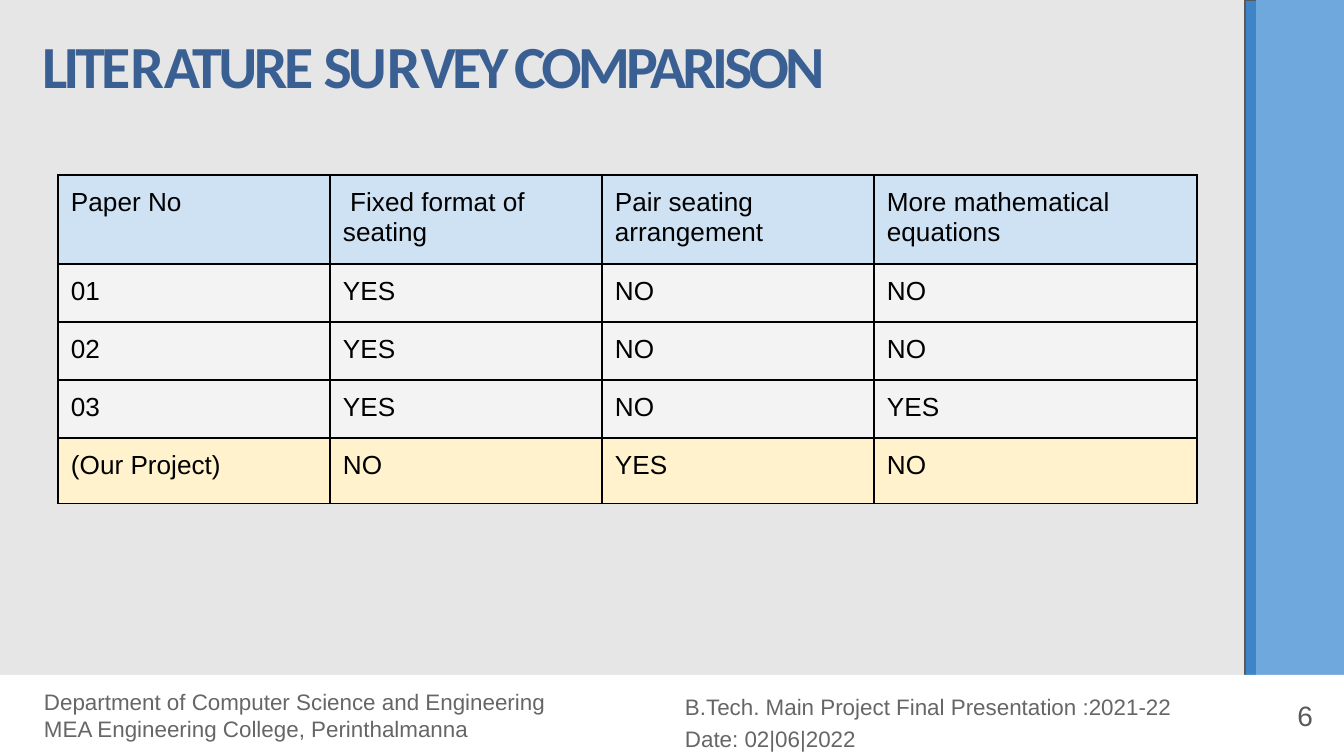
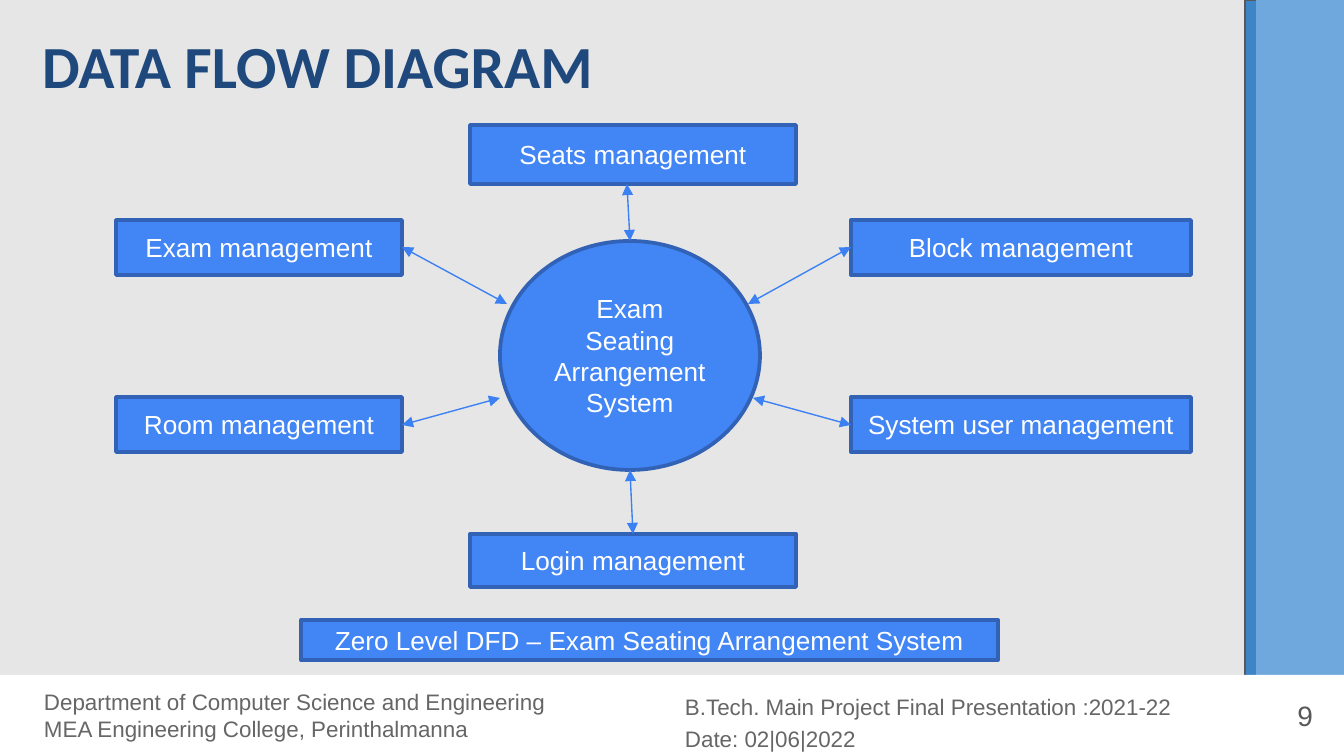
from pptx import Presentation
from pptx.dml.color import RGBColor
from pptx.enum.shapes import MSO_CONNECTOR as Connector, MSO_SHAPE as Shape
from pptx.enum.text import MSO_ANCHOR as Anchor, MSO_AUTO_SIZE as AutoSize, PP_ALIGN as Align
from pptx.oxml.ns import qn
from pptx.util import Pt
from lxml.etree import SubElement

EMU_PER_PX = 9144000 / 1344
WIDTH, HEIGHT = 1344, 756
INSET = 13
FOOTER_TOP = 675
TITLE_ONLY = 5

COLORS = {
    "background": "E6E6E6",
    "band_dark": "3D85C6",
    "band_light": "6FA8DC",
    "band_line": "595959",
    "white": "FFFFFF",
    "black": "000000",
    "footer": "666666",
    "survey_title": "3A6093",
    "flow_title": "1F497D",
    "header_row": "CFE2F3",
    "paper_row": "F3F3F3",
    "project_row": "FFF2CC",
    "node": "4285F4",
    "node_line": "3162B5",
    "arrow": "3C81F3",
}

SURVEY_TITLE = [
    ("LITE", -210), ("R", -190), ("ATURE ", -180),
    ("SU", -210), ("R", -120), ("VEY COMPARISON", -210),
]
SURVEY_COLUMNS = [272, 272, 272, 323]
SURVEY_ROWS = [
    (89, "header_row", ["Paper No", " Fixed format of seating",
                        "Pair seating arrangement", "More mathematical equations"]),
    (58, "paper_row", ["01", "YES", "NO", "NO"]),
    (58, "paper_row", ["02", "YES", "NO", "NO"]),
    (58, "paper_row", ["03", "YES", "NO", "YES"]),
    (66, "project_row", ["(Our Project)", "NO", "YES", "NO"]),
]

FLOW_NODES = [
    ("Seats management", (470, 125, 326, 59)),
    ("Exam management", (116, 220, 286, 55)),
    ("Room management", (116, 397, 286, 55)),
    ("Block management", (851, 220, 340, 55)),
    ("System user management", (851, 397, 340, 55)),
    ("Login management", (470, 534, 326, 53)),
    ("Zero Level DFD – Exam Seating Arrangement System", (301, 620, 697, 40)),
]
FLOW_ARROWS = [
    (627, 184, 630, 241),
    (851, 247, 748, 304),
    (851, 425, 753, 398),
    (402, 425, 500, 398),
    (402, 247, 507, 304),
    (633, 534, 630, 470),
]


def px(length):
    return round(length * EMU_PER_PX)


def color(name):
    return RGBColor.from_string(COLORS[name])


def paint(target, name):
    target.fill.solid()
    target.fill.fore_color.rgb = color(name)


def style_font(font, name, size, ink, bold=False):
    font.name = name
    font.size = Pt(size)
    font.bold = bold
    font.color.rgb = color(ink)


def set_margins(target, left=INSET):
    target.margin_left = px(left)
    target.margin_right = target.margin_top = target.margin_bottom = px(INSET)


def write_lines(frame, lines, size, ink, align=Align.LEFT, spacing=None):
    frame.word_wrap = True
    for index, line in enumerate(lines):
        para = frame.add_paragraph() if index else frame.paragraphs[0]
        para.text = line
        para.alignment = align
        para.line_spacing = spacing
        style_font(para.font, "Arial", size, ink)


def add_block(page, area, fill, line=None, weight=0.75, kind=Shape.RECTANGLE):
    block = page.shapes.add_shape(kind, *map(px, area))
    block.shadow.inherit = False
    paint(block, fill)
    if line:
        block.line.color.rgb = color(line)
        block.line.width = Pt(weight)
    else:
        block.line.fill.background()
    return block


def add_footer(page, area, lines, left=INSET, spacing=None):
    frame = add_block(page, area, "white").text_frame
    frame.vertical_anchor = Anchor.TOP
    set_margins(frame, left)
    write_lines(frame, lines, 12, "footer", spacing=spacing)


def add_title(page, spans, ink):
    title = page.shapes.title
    title.left, title.top, title.width, title.height = map(px, (29, 16, 872, 99))
    frame = title.text_frame
    frame.auto_size = AutoSize.NONE
    frame.vertical_anchor = Anchor.TOP
    set_margins(frame)
    para = frame.paragraphs[0]
    para.alignment = Align.LEFT
    style_font(para.font, "Calibri", 32, ink, bold=True)
    for text, tracking in spans:
        span = para.add_run()
        span.text = text
        if tracking:
            span.font._element.set("spc", str(tracking))


def add_page(deck, number, title_spans, title_ink):
    page = deck.slides.add_slide(deck.slide_layouts[TITLE_ONLY])
    add_title(page, title_spans, title_ink)
    add_block(page, (1245, 0, 87, HEIGHT), "band_dark", "band_line")
    add_block(page, (1256, 0, 88, HEIGHT), "band_light")
    add_footer(page, (672, FOOTER_TOP, 672, 92),
               ["B.Tech. Main Project Final Presentation :2021-22", "Date: 02|06|2022"],
               spacing=1.2)
    add_footer(page, (0, FOOTER_TOP, 672, 81),
               ["Department of Computer Science and Engineering",
                "MEA Engineering College, Perinthalmanna"], left=44)
    box = page.shapes.add_textbox(*map(px, (1245, 686, 81, 58)))
    box.text_frame.vertical_anchor = Anchor.MIDDLE
    set_margins(box.text_frame)
    write_lines(box.text_frame, [str(number)], 15, "band_line", Align.RIGHT)
    return page


def add_borders(cell):
    properties = cell._tc.get_or_add_tcPr()
    for index, side in enumerate(("lnL", "lnR", "lnT", "lnB")):
        line = properties.makeelement(qn(f"a:{side}"), {"w": str(Pt(0.75))})
        properties.insert(index, line)
        fill = SubElement(line, qn("a:solidFill"))
        SubElement(fill, qn("a:srgbClr"), val=COLORS["black"])


def add_survey_table(page):
    height = sum(row[0] for row in SURVEY_ROWS)
    area = (58, 175, sum(SURVEY_COLUMNS), height)
    table = page.shapes.add_table(
        len(SURVEY_ROWS), len(SURVEY_COLUMNS), *map(px, area)).table
    for column, width in zip(table.columns, SURVEY_COLUMNS):
        column.width = px(width)
    for row, (height, fill, texts) in zip(table.rows, SURVEY_ROWS):
        row.height = px(height)
        for cell, text in zip(row.cells, texts):
            paint(cell, fill)
            set_margins(cell)
            write_lines(cell.text_frame, [text], 14, "black")
            add_borders(cell)


def add_node(page, text, area, kind=Shape.RECTANGLE):
    node = add_block(page, area, "node", "node_line", 2, kind)
    node.text_frame.vertical_anchor = Anchor.MIDDLE
    write_lines(node.text_frame, [text], 14, "white", Align.CENTER)


def add_arrow(page, ends):
    arrow = page.shapes.add_connector(Connector.STRAIGHT, *map(px, ends))
    arrow.line.color.rgb = color("arrow")
    arrow.line.width = Pt(0.75)
    line = arrow.line._get_or_add_ln()
    for end in ("headEnd", "tailEnd"):
        SubElement(line, qn(f"a:{end}"), type="triangle")
    SubElement(arrow._element.spPr, qn("a:effectLst"))


def main():
    deck = Presentation()
    deck.slide_width, deck.slide_height = px(WIDTH), px(HEIGHT)
    paint(deck.slide_master.background, "background")

    survey = add_page(deck, 6, SURVEY_TITLE, "survey_title")
    add_survey_table(survey)

    flow = add_page(deck, 9, [("DATA FLOW DIAGRAM", None)], "flow_title")
    for text, area in FLOW_NODES:
        add_node(flow, text, area)
    add_node(flow, "Exam Seating Arrangement System", (500, 241, 260, 229), Shape.OVAL)
    for ends in FLOW_ARROWS:
        add_arrow(flow, ends)

    deck.save("out.pptx")


if __name__ == "__main__":
    main()
